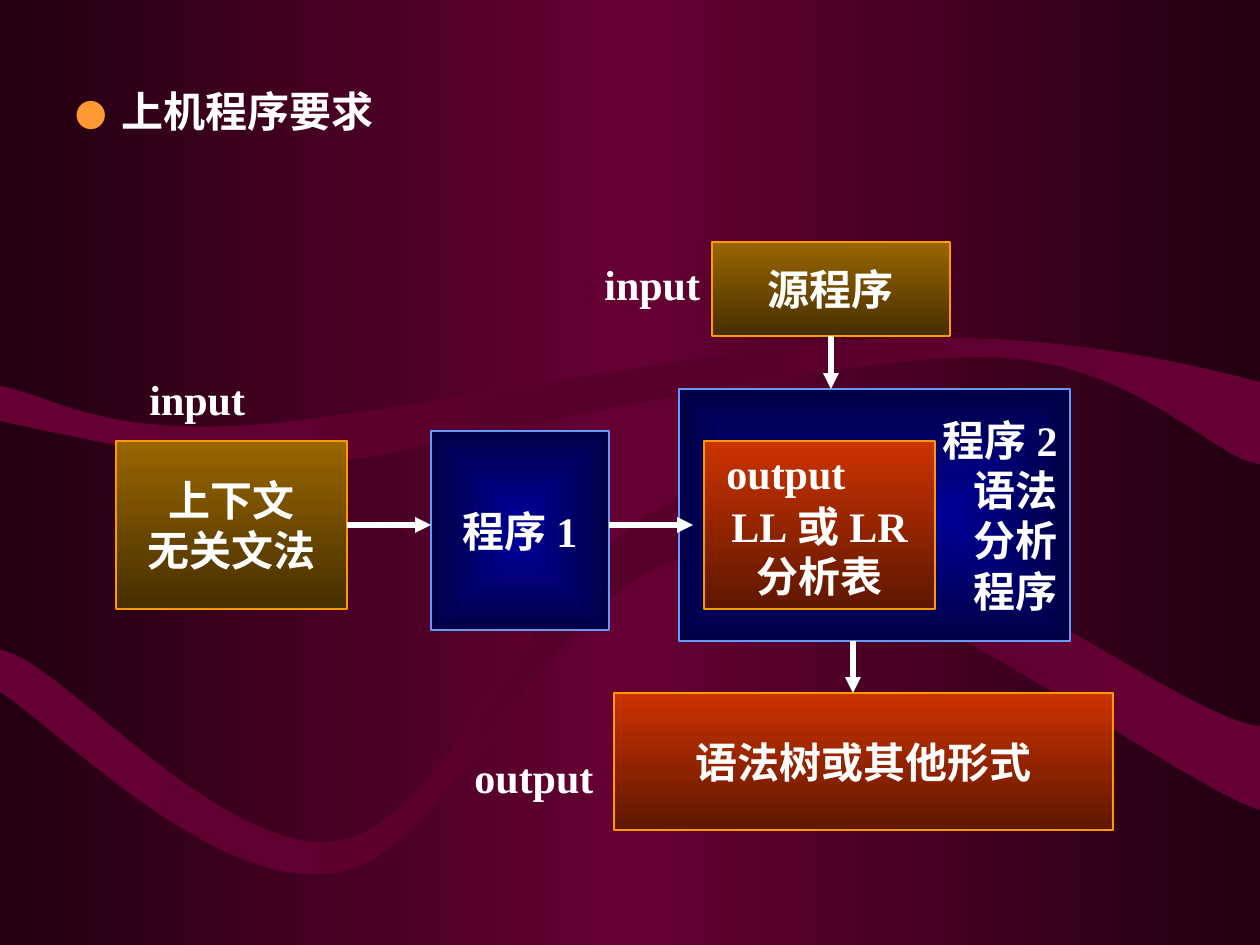
import pptx
import pptx.dml.color
import pptx.enum.shapes
import pptx.enum.text
import pptx.oxml
import pptx.oxml.ns
import pptx.util

SCALE = 914400 / 126
SLIDE_SIZE = (1260, 945)
FONT = "Times New Roman"
WHITE = "FFFFFF"
ORANGE = "FF9900"
TITLE = [("●\t", 18, "FF9933"), ("上机程序要求", 24, WHITE)]
TITLE_BOX = (63, 63, 1155, 95)
TITLE_INDENT = 46
ALIGN = pptx.enum.text.PP_ALIGN

BACKGROUND = [(0, "220011"), (50, "660033"), (100, "220011")]
RIBBON_FILL = [(0, "660033"), (50, "56002B"), (100, "660033")]

RIBBONS = [
    [(0, 386), (0, 421),
     (47, 432, 220, 466, 280, 473), (339, 479, 239, 478, 355, 459),
     (473, 438, 832, 355, 983, 357), (1134, 357, 1213, 460, 1260, 464),
     (1260, 382),
     (1197, 365, 1053, 331, 883, 339), (713, 345, 387, 418, 239, 426),
     (92, 433, 50, 394, 0, 386)],
    [(0, 650), (0, 692),
     (57, 728, 219, 896, 339, 872), (457, 849, 558, 562, 712, 552),
     (866, 541, 1168, 781, 1260, 810),
     (1260, 726),
     (1182, 721, 871, 475, 708, 493), (556, 512, 462, 814, 344, 840),
     (226, 866, 57, 655, 0, 650)],
]

STYLES = {
    "program": ([(0, "000099"), (100, "000046")], None, "6699FF"),
    "input": ([(0, "996600"), (100, "462F00")], 90, ORANGE),
    "output": ([(0, "CC3300"), (100, "5E1700")], 90, ORANGE),
}

BOXES = [
    ("parser", "程序2\n语法\n分析\n程序", "program", (679, 389, 391, 252), ALIGN.RIGHT, 6),
    ("tree", "语法树或其他形式", "output", (614, 693, 499, 137), ALIGN.CENTER, 6),
    ("source", "源程序", "input", (712, 242, 238, 94), ALIGN.CENTER, 6),
    ("generator", "程序1", "program", (431, 431, 178, 199), ALIGN.CENTER, 6),
    ("table", "LL或LR\n分析表", "output", (704, 441, 231, 168), ALIGN.CENTER, 57),
    ("grammar", "上下文\n无关文法", "input", (116, 441, 231, 168), ALIGN.CENTER, 6),
]

LABELS = [
    ("input", (592, 252, 121, 63)),
    ("output", (462, 745, 144, 63)),
    ("input", (137, 367, 121, 63)),
    ("output", (714, 441, 144, 63)),
]

ARROWS = [
    ((831, 336, 831, 389), ("source", 2)),
    ((853, 641, 853, 693), None),
    ((347, 525, 431, 525), ("grammar", 3)),
    ((609, 525, 693, 525), None),
]


def px(*values):
    return [pptx.util.Emu(round(value * SCALE)) for value in values]


def color(value):
    return pptx.dml.color.RGBColor.from_string(value)


def element(tag, content="", attributes=""):
    namespace = pptx.oxml.ns.nsdecls("a")
    return pptx.oxml.parse_xml(f"<a:{tag} {namespace} {attributes}>{content}</a:{tag}>")


def set_gradient(fill, parent, stops, angle):
    fill.solid()
    stop_xml = "".join(f'<a:gs pos="{position * 1000}"><a:srgbClr val="{value}"/></a:gs>'
                       for position, value in stops)
    if angle is None:
        direction = ('<a:path path="rect"><a:fillToRect l="50000" t="50000" '
                     'r="50000" b="50000"/></a:path>')
    else:
        direction = f'<a:lin ang="{angle * 60000}" scaled="0"/>'
    solid = parent.find(pptx.oxml.ns.qn("a:solidFill"))
    parent.replace(solid, element("gradFill", f"<a:gsLst>{stop_xml}</a:gsLst>{direction}"))


def format_run(run, size, value):
    run.font.name = FONT
    run.font.size = pptx.util.Pt(size)
    run.font.bold = True
    run.font.color.rgb = color(value)


def format_text(text_frame, text, alignment):
    text_frame.text = text
    for paragraph in text_frame.paragraphs:
        paragraph.alignment = alignment
        for run in paragraph.runs:
            format_run(run, 24, WHITE)


def bend_segments(ribbon, segments):
    lines = iter(ribbon._element.findall(".//" + pptx.oxml.ns.qn("a:lnTo")))
    for segment in segments:
        first, *others = [next(lines) for _ in range(len(segment) // 2)]
        if others:
            curve = element("cubicBezTo")
            first.addprevious(curve)
            for line in (first, *others):
                curve.append(line[0])
                line.getparent().remove(line)


def add_ribbon(slide, segments):
    points = [segment[i:i + 2] for segment in segments for i in range(0, len(segment), 2)]
    builder = slide.shapes.build_freeform(*px(*points[0]))
    builder.add_line_segments([px(*point) for point in points[1:]], close=True)
    ribbon = builder.convert_to_shape()
    bend_segments(ribbon, segments[1:])
    ribbon.shadow.inherit = False
    set_gradient(ribbon.fill, ribbon._element.spPr, RIBBON_FILL, 180)
    ribbon.line.fill.background()


def add_box(slide, text, style, bounds, alignment, top_margin):
    stops, angle, outline = STYLES[style]
    box = slide.shapes.add_shape(pptx.enum.shapes.MSO_SHAPE.RECTANGLE, *px(*bounds))
    box.shadow.inherit = False
    set_gradient(box.fill, box._element.spPr, stops, angle)
    box.line.color.rgb = color(outline)
    box.line.width = pptx.util.Pt(0.75)
    box.text_frame.word_wrap = True
    box.text_frame.vertical_anchor = pptx.enum.text.MSO_ANCHOR.MIDDLE
    box.text_frame.margin_top = px(top_margin)[0]
    format_text(box.text_frame, text, alignment)
    return box


def add_label(slide, text, bounds):
    label = slide.shapes.add_textbox(*px(*bounds))
    label.text_frame.word_wrap = False
    label.text_frame.auto_size = pptx.enum.text.MSO_AUTO_SIZE.SHAPE_TO_FIT_TEXT
    format_text(label.text_frame, text, ALIGN.LEFT)


def add_arrow(slide, ends, start, boxes):
    arrow = slide.shapes.add_connector(pptx.enum.shapes.MSO_CONNECTOR.STRAIGHT, *px(*ends))
    if start:
        name, side = start
        arrow.begin_connect(boxes[name], side)
    arrow.line.color.rgb = color(WHITE)
    arrow.line.width = pptx.util.Pt(3)
    arrow.line._get_or_add_ln().append(element("tailEnd", attributes='type="triangle"'))
    arrow._element.spPr.append(element("effectLst"))


def format_title(title):
    title.left, title.top, title.width, title.height = px(*TITLE_BOX)
    title.text_frame.vertical_anchor = pptx.enum.text.MSO_ANCHOR.MIDDLE
    paragraph = title.text_frame.paragraphs[0]
    paragraph.alignment = ALIGN.LEFT
    indent = px(TITLE_INDENT)[0]
    properties = paragraph._p.get_or_add_pPr()
    properties.set("marL", str(indent))
    properties.set("indent", str(-indent))
    for text, size, value in TITLE:
        run = paragraph.add_run()
        run.text = text
        format_run(run, size, value)


def main():
    presentation = pptx.Presentation()
    presentation.slide_width, presentation.slide_height = px(*SLIDE_SIZE)
    slide = presentation.slides.add_slide(presentation.slide_layouts[5])
    background_fill = slide.background.fill
    background_fill.solid()
    background_properties = slide._element.find(".//" + pptx.oxml.ns.qn("p:bgPr"))
    set_gradient(background_fill, background_properties, BACKGROUND, 180)
    for segments in RIBBONS:
        add_ribbon(slide, segments)
    format_title(slide.shapes.title)
    boxes = {name: add_box(slide, *details) for name, *details in BOXES}
    for text, bounds in LABELS:
        add_label(slide, text, bounds)
    for ends, start in ARROWS:
        add_arrow(slide, ends, start, boxes)
    presentation.save("out.pptx")


if __name__ == "__main__":
    main()
